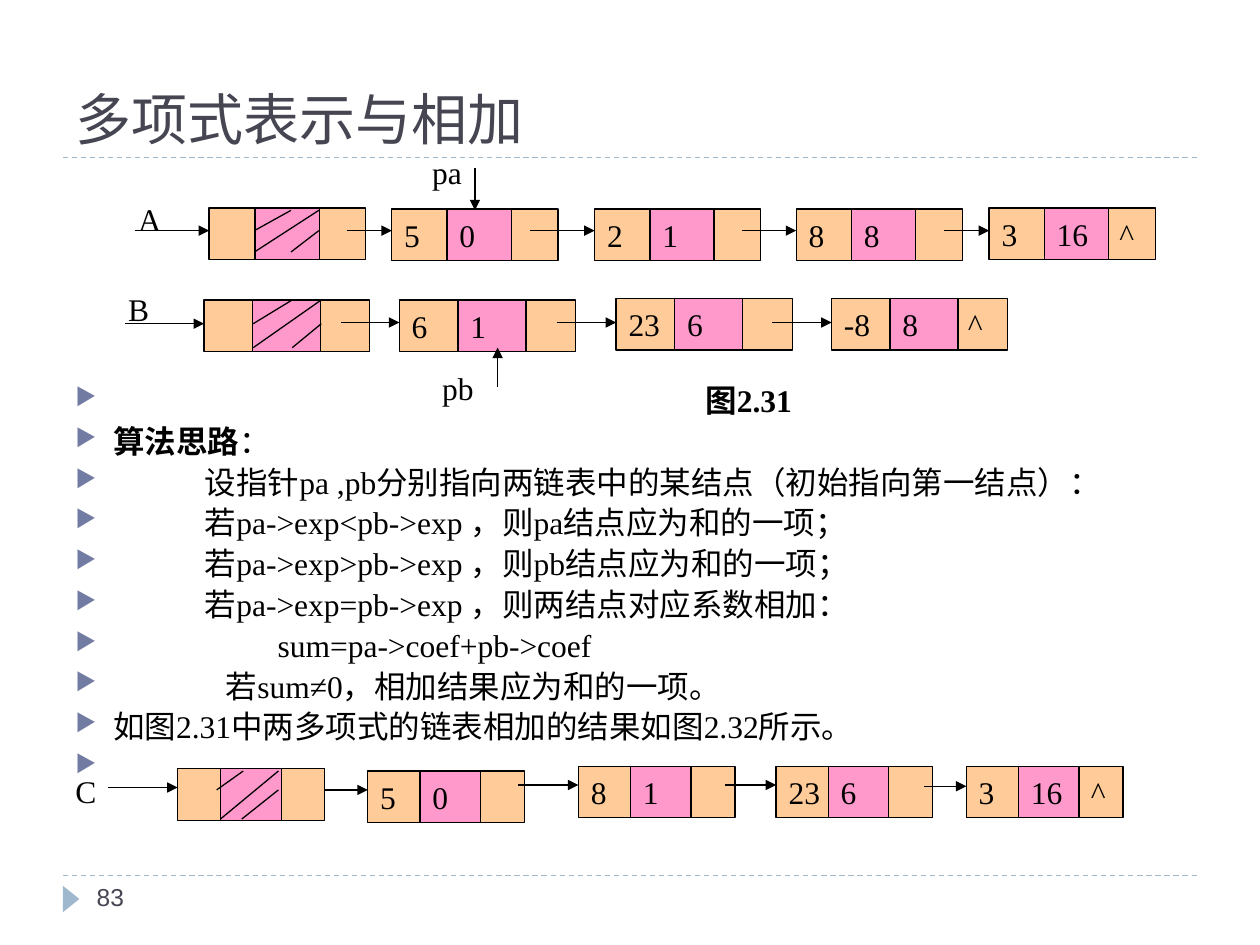
from lxml import etree
from pptx import Presentation
from pptx.dml.color import RGBColor
from pptx.enum import dml, shapes, text
from pptx.oxml import ns
from pptx.util import Pt

BLACK = RGBColor(0, 0, 0)
SLATE = RGBColor(0x46, 0x46, 0x53)
STEEL = RGBColor(0x9F, 0xB8, 0xCD)
ORANGE = RGBColor(0xFF, 0xCC, 0x99)
PINK = RGBColor(0xFF, 0x99, 0xCC)
BULLET = "727CA3"
SERIF, SANS = "Times New Roman", "Arial"
CELL_HEIGHT = 29.5
LABEL_HEIGHT = 28.8
# Left edges of the exponent and link cells, as shares of the cell width
HEADER_STEPS = (0.714, 1.43)
TERM_STEPS = (0.86, 1.587)

TITLE = "多项式表示与相加"
PAGE = "83"

# Left indent, then (text, bold) runs
BODY = [
    (360, [("图2.31", True)]),
    (21.6, [("算法思路", True), ("：", False)]),
    (74, [("设指针pa ,pb分别指向两链表中的某结点（初始指向第一结点）：", False)]),
    (74, [("若pa->exp<pb->exp ，则pa结点应为和的一项；", False)]),
    (74, [("若pa->exp>pb->exp ，则pb结点应为和的一项；", False)]),
    (74, [("若pa->exp=pb->exp ，则两结点对应系数相加：", False)]),
    (115.6, [("sum=pa->coef+pb->coef", False)]),
    (86, [("若sum≠0，相加结果应为和的一项。", False)]),
    (21.6, [("如图2.31中两多项式的链表相加的结果如图2.32所示。", False)]),
    (21.6, [(" ", True)]),
]

# labels: text, left, top, width
# nodes: left, top, coefficient, exponent, start and height of the arrow coming in
# hatching: lines that cross out the header; pointers: arrows pa and pb
CHAINS = [
    dict(
        cell_width=36.7,
        labels=[("A", 72, 110.9, 25.9), ("pa", 239.8, 84.2, 41.8)],
        nodes=[(119.5, 118.8, "", "", 77, 131.8),
               (223.9, 119.5, "5", "0", 198, 131.8),
               (339.8, 119.5, "2", "1", 303.1, 131.8),
               (455, 119.5, "8", "8", 424.1, 131.8),
               (565.2, 118.8, "3", "16", 539.3, 131.8)],
        hatching=[(166.3, 120.2, 145.4, 131.8), (182.2, 120.2, 145.4, 144),
                  (182.2, 131.8, 166.3, 144)],
        pointers=[(271.4, 95.8, 271.4, 120.2)],
    ),
    dict(
        cell_width=38.9,
        labels=[("B", 66.2, 162, 28.1), ("pb", 245.5, 207.4, 44.6)],
        nodes=[(116.6, 171.4, "", "", 71.3, 185),
               (228.2, 171.4, "6", "1", 195.1, 184.3),
               (352.1, 170.6, "23", "6", 318.2, 184.3),
               (475.2, 170.6, "-8", "8", 441.4, 184.3)],
        hatching=[(167, 171.4, 144.7, 185), (183.6, 171.4, 144.7, 198.7),
                  (183.6, 185, 167, 198.7)],
        pointers=[(284.4, 221, 284.4, 198.7)],
    ),
    dict(
        cell_width=34.6,
        labels=[("C", 36, 437.8, 27.4)],
        nodes=[(101.5, 439.2, "", "", 61.9, 450),
               (210.2, 440.6, "5", "0", 185.8, 451.4),
               (330.5, 437.8, "8", "1", 295.9, 448.6),
               (443.5, 437.8, "23", "6", 414, 448.6),
               (552.2, 437.8, "3", "16", 527.8, 449.3)],
        hatching=[(139, 440.6, 123.8, 451.4), (159.1, 440.6, 126, 468),
                  (159.1, 451.4, 138.2, 468)],
        pointers=[],
    ),
]


def style(run, size, font, color, bold=False):
    run.font.size, run.font.name, run.font.bold = Pt(size), font, bold
    run.font.color.rgb = color


def add_label(parent, words, box, size=18, font=SERIF, color=BLACK,
              anchor=text.MSO_ANCHOR.TOP):
    label = parent.add_textbox(*map(Pt, box))
    frame = label.text_frame
    frame.word_wrap = True
    frame.vertical_anchor = anchor
    frame.text = words
    style(frame.paragraphs[0].runs[0], size, font, color)


def add_line(parent, ends, color=BLACK, dashed=False, arrow=False):
    line = parent.add_connector(shapes.MSO_CONNECTOR.STRAIGHT, *map(Pt, ends))
    line.line.color.rgb = color
    line.line.width = Pt(0.75)
    if dashed:
        line.line.dash_style = dml.MSO_LINE.DASH
    if arrow:
        etree.SubElement(line.line._get_or_add_ln(), ns.qn("a:tailEnd"), type="triangle")
    etree.SubElement(line._element.spPr, ns.qn("a:effectLst"))


def add_cell(parent, left, top, width, fill, words):
    cell = parent.add_shape(shapes.MSO_SHAPE.RECTANGLE,
                            *map(Pt, (left, top, width, CELL_HEIGHT)))
    cell.shadow.inherit = False
    cell.fill.solid()
    cell.fill.fore_color.rgb = fill
    cell.line.color.rgb = BLACK
    cell.line.width = Pt(0.75)
    if words:
        frame = cell.text_frame
        frame.text = words
        if words == "^":  # clear of the exponent cell that overlaps it
            frame.margin_left, frame.margin_right = Pt(16.2), 0
        frame.paragraphs[0].alignment = text.PP_ALIGN.LEFT
        style(frame.paragraphs[0].runs[0], 18, SERIF, BLACK)


def add_chain(slide, chain):
    """Draw one linked list: labels, nodes, arrows and crossed-out header."""
    group = slide.shapes.add_group_shape().shapes
    width = chain["cell_width"]
    for words, left, top, label_width in chain["labels"]:
        add_label(group, words, (left, top, label_width, LABEL_HEIGHT))
    last = len(chain["nodes"]) - 1
    for i, (left, top, coef, exp, start, arrow_y) in enumerate(chain["nodes"]):
        exp_step, link_step = TERM_STEPS if i else HEADER_STEPS
        add_cell(group, left, top, width, ORANGE, coef)
        add_cell(group, left + link_step * width, top, width, ORANGE,
                 "^" if i == last else "")
        add_cell(group, left + exp_step * width, top, width, PINK, exp)
    for left, _, _, _, start, arrow_y in chain["nodes"]:
        add_line(group, (start, arrow_y, left, arrow_y), arrow=True)
    for ends in chain["hatching"]:
        add_line(group, ends)
    for ends in chain["pointers"]:
        add_line(group, ends, arrow=True)


def add_body(slide):
    frame = slide.shapes.add_textbox(*map(Pt, (36, 218.4, 648, 264))).text_frame
    frame.word_wrap = True
    for i, (indent, runs) in enumerate(BODY):
        paragraph = frame.add_paragraph() if i else frame.paragraphs[0]
        paragraph.line_spacing = 0.8
        paragraph.space_before = Pt(6 if i else 0)
        for words, bold in runs:
            run = paragraph.add_run()
            run.text = words
            style(run, 18, SERIF, BLACK, bold)
        props = paragraph._p.get_or_add_pPr()
        props.set("marL", str(Pt(indent)))
        props.set("indent", str(-Pt(indent)))
        color = etree.SubElement(props, ns.qn("a:buClr"))
        etree.SubElement(color, ns.qn("a:srgbClr"), val=BULLET)
        etree.SubElement(props, ns.qn("a:buSzPct"), val="76000")
        etree.SubElement(props, ns.qn("a:buChar"), char="▶")


def main():
    deck = Presentation()
    deck.slide_width, deck.slide_height = Pt(720), Pt(540)
    slide = deck.slides.add_slide(deck.slide_layouts[6])
    for y in (500.4, 90):
        add_line(slide.shapes, (36, y, 684, y), STEEL, dashed=True)
    marker = slide.shapes.add_shape(shapes.MSO_SHAPE.ISOSCELES_TRIANGLE,
                                    *map(Pt, (33.1, 509, 15.1, 9.4)))
    marker.rotation = 90
    marker.shadow.inherit = False
    marker.fill.solid()
    marker.fill.fore_color.rgb = STEEL
    marker.line.fill.background()
    add_label(slide.shapes, TITLE, (36, 12.2, 648, 77.8), 32, SANS, SLATE,
              text.MSO_ANCHOR.BOTTOM)
    add_body(slide)
    for chain in CHAINS:
        add_chain(slide, chain)
    add_label(slide.shapes, PAGE, (48.2, 500.4, 156.2, 28.8), 14, SANS, SLATE)
    deck.save("out.pptx")


if __name__ == "__main__":
    main()
